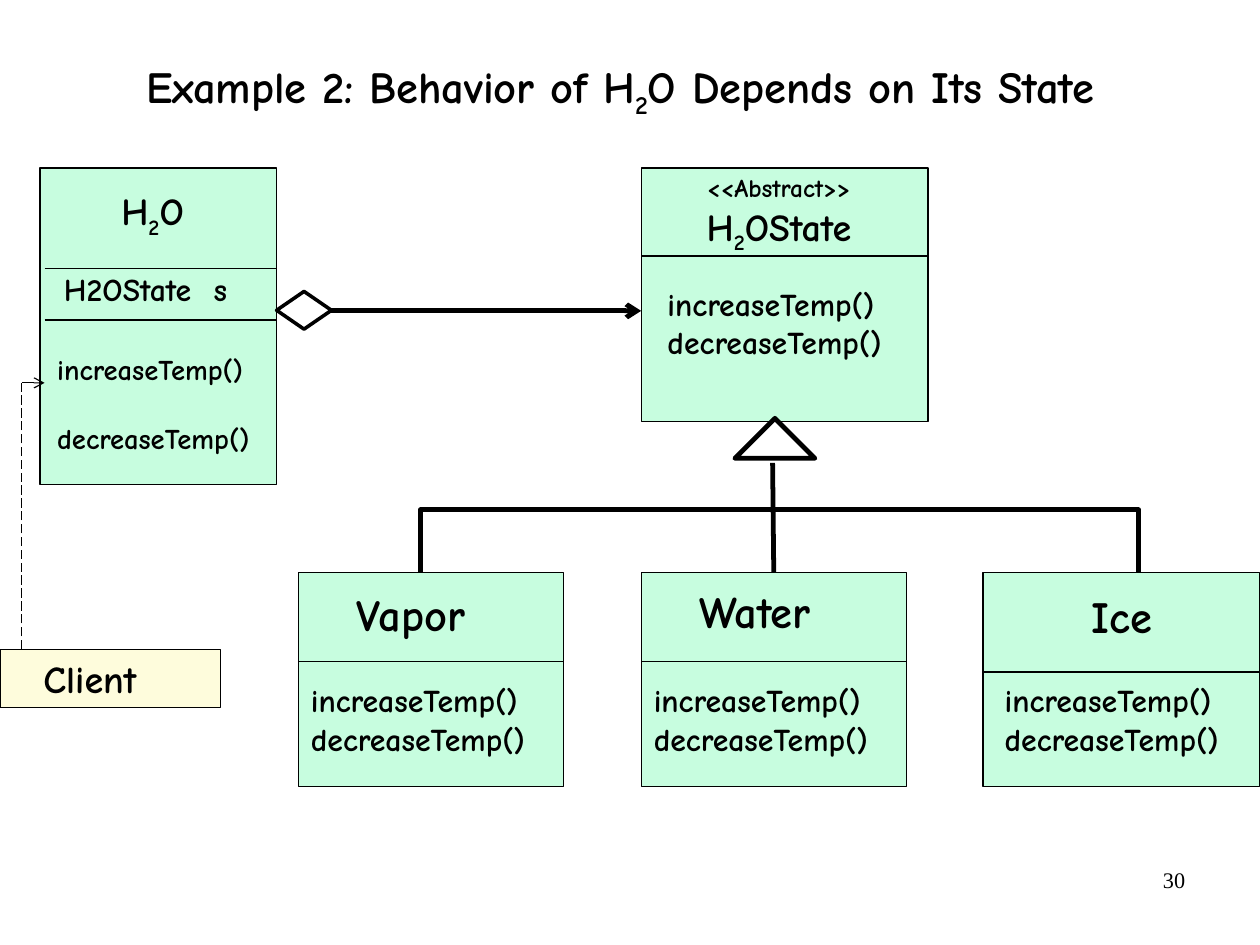
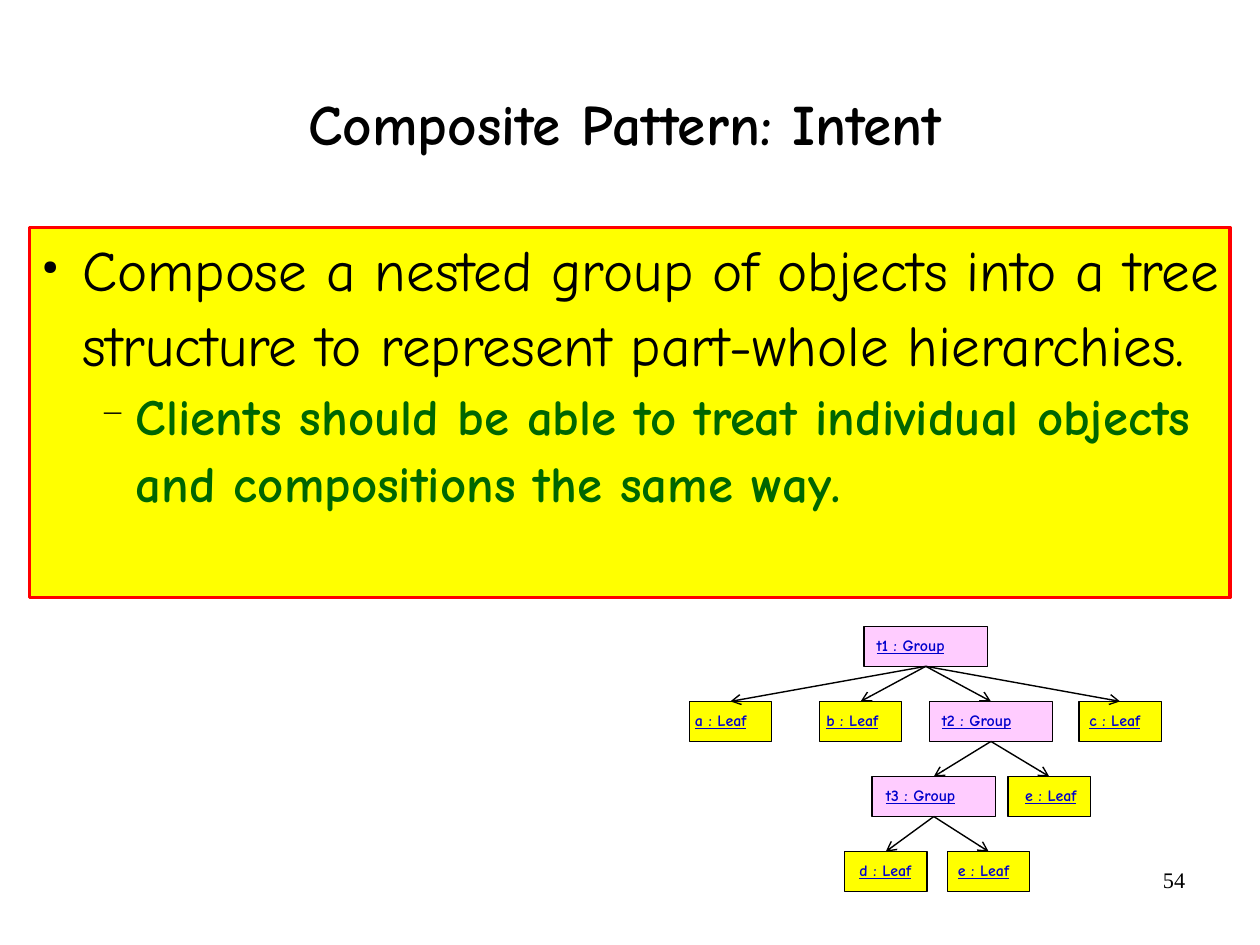
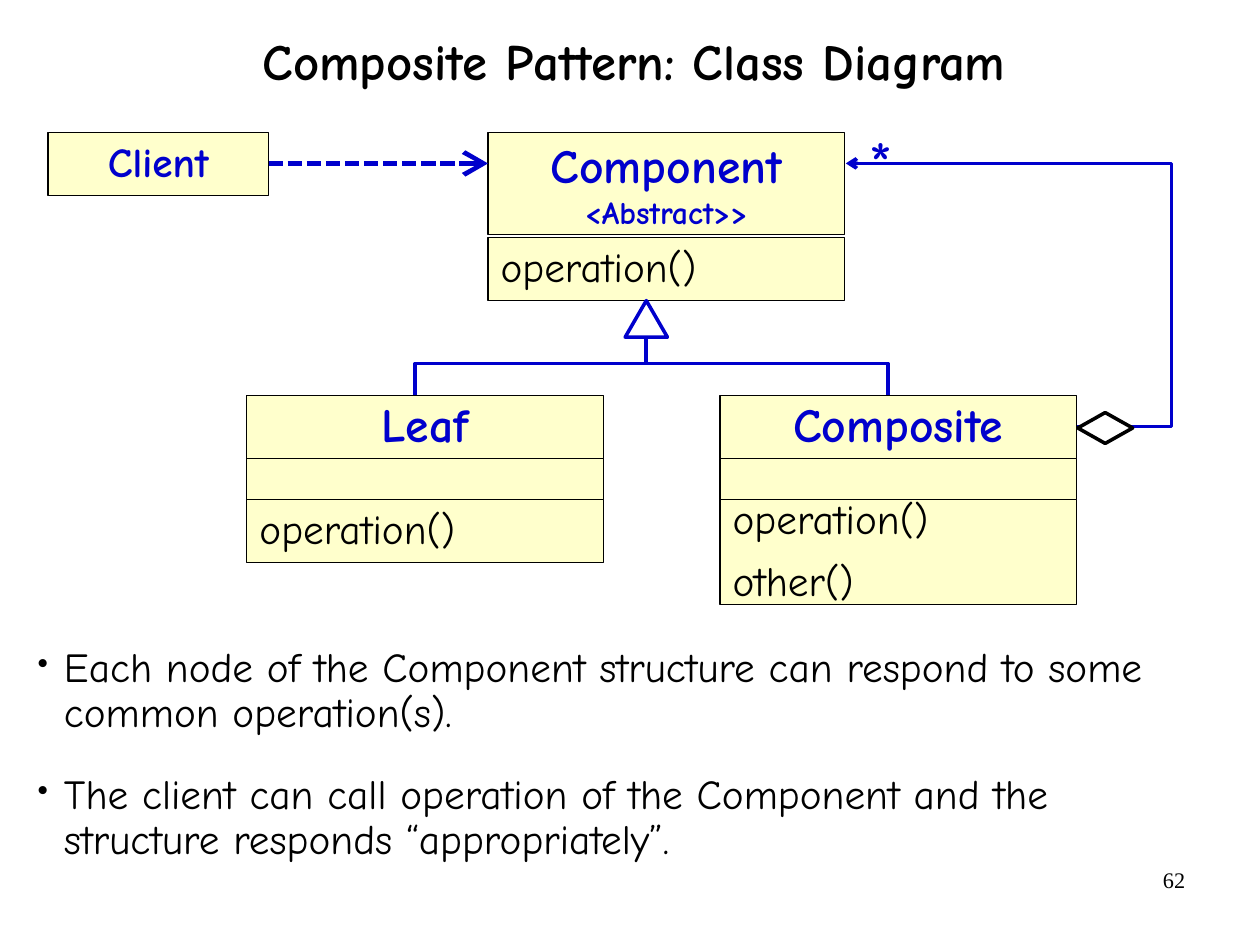
from lxml import etree
from pptx import Presentation
from pptx.dml.color import RGBColor
from pptx.enum.dml import MSO_LINE
from pptx.enum.shapes import MSO_CONNECTOR, MSO_SHAPE
from pptx.enum.text import MSO_ANCHOR, PP_ALIGN
from pptx.oxml.ns import qn
from pptx.util import Cm, Pt

RECTANGLE, DIAMOND, TRIANGLE = MSO_SHAPE.RECTANGLE, MSO_SHAPE.DIAMOND, MSO_SHAPE.ISOSCELES_TRIANGLE
LEFT, CENTER, RIGHT = PP_ALIGN.LEFT, PP_ALIGN.CENTER, PP_ALIGN.RIGHT
TOP, MIDDLE, BOTTOM = MSO_ANCHOR.TOP, MSO_ANCHOR.MIDDLE, MSO_ANCHOR.BOTTOM
LONG_DASH, SHORT_DASH = MSO_LINE.LONG_DASH, MSO_LINE.SQUARE_DOT
STRAIGHT = MSO_CONNECTOR.STRAIGHT

COLORS = {
    "ink": "000000", "white": "FFFFFF", "mint": "C7FDDF", "cream": "FEFCDC",
    "ivory": "FFFFCC", "yellow": "FFFF00", "pink": "FFCCFF", "red": "FF0000",
    "blue": "0000CC", "green": "006600",
}
PALETTE = {name: RGBColor.from_string(value) for name, value in COLORS.items()}
TEXT = {
    "name": "Comic Neue", "size": 20, "bold": True, "underline": None, "color": "ink",
    "alignment": LEFT, "line_spacing": None, "space_before": 0, "space_after": 0,
    "bullet": None, "tab": None,
}
NO_INSETS = (0, 0, 0, 0)

presentation = Presentation()
presentation.slide_width, presentation.slide_height = Cm(28), Cm(21)
COLUMN = presentation.slide_width / 110.24
ROW = presentation.slide_height / 82.68


def add_box(slide, geometry, place, paragraphs=None, fill=None, line=None, weight=0.75,
            anchor=TOP, insets=(1.1, 0.6, 1.1, 0.6), **style):
    left, top, width, height = place
    frame_place = [round(v) for v in (left * COLUMN, top * ROW, width * COLUMN, height * ROW)]
    if geometry is None:
        shape = slide.shapes.add_textbox(*frame_place)
    else:
        shape = slide.shapes.add_shape(geometry, *frame_place)
        shape.shadow.inherit = False
        if fill:
            shape.fill.solid()
            shape.fill.fore_color.rgb = PALETTE[fill]
        else:
            shape.fill.background()
        shape.line.color.rgb = PALETTE[line or "ink"]
        shape.line.width = Pt(weight)
    frame = shape.text_frame
    frame.word_wrap = True
    frame.vertical_anchor = anchor
    for side, inset in zip(("left", "top", "right", "bottom"), insets):
        setattr(frame, f"margin_{side}", round(inset * COLUMN))
    for index, (text, override) in enumerate((paragraphs or {}).items()):
        look = {**TEXT, **style, **override}
        paragraph = frame.add_paragraph() if index else frame.paragraphs[0]
        properties = paragraph._p.get_or_add_pPr()
        if look["bullet"]:
            character, percent, margin, hanging = look["bullet"]
            properties.set("marL", str(round(margin * COLUMN)))
            properties.set("indent", str(round(-hanging * COLUMN)))
            bullet_color = etree.SubElement(properties, qn("a:buClr"))
            etree.SubElement(bullet_color, qn("a:srgbClr"), val=COLORS["ink"])
            etree.SubElement(properties, qn("a:buSzPct"), val=str(percent * 1000))
            etree.SubElement(properties, qn("a:buChar"), char=character)
        if look["tab"]:
            tabs = etree.SubElement(properties, qn("a:tabLst"))
            etree.SubElement(tabs, qn("a:tab"), pos=str(round(look["tab"] * COLUMN)), algn="l")
        for attribute in ("alignment", "line_spacing"):
            setattr(paragraph, attribute, look[attribute])
        paragraph.space_before = Pt(look["space_before"] if index else 0)
        paragraph.space_after = Pt(look["space_after"])
        for position, piece in enumerate(text.split("_")):
            run = paragraph.add_run()
            run.text = piece
            for attribute in ("name", "bold", "underline"):
                setattr(run.font, attribute, look[attribute])
            run.font.size = Pt(look["size"])
            run.font.color.rgb = PALETTE[look["color"]]
            if position % 2:
                run._r.get_or_add_rPr().set("baseline", "-25000")


def add_line(slide, points, color="ink", weight=0.75, dash=None, arrow=None):
    corners = [(round(x * COLUMN), round(y * ROW)) for x, y in points]
    if len(corners) == 2:
        shape = slide.shapes.add_connector(STRAIGHT, *corners[0], *corners[1])
    else:
        builder = slide.shapes.build_freeform(*corners[0])
        builder.add_line_segments(corners[1:], close=False)
        shape = builder.convert_to_shape()
        shape.fill.background()
    shape.line.color.rgb = PALETTE[color]
    shape.line.width = Pt(weight)
    if dash:
        shape.line.dash_style = dash
    properties = shape._element.spPr
    if arrow:
        outline = properties.find(qn("a:ln"))
        etree.SubElement(outline, qn("a:tailEnd"), type="arrow", w=arrow, len=arrow)
    etree.SubElement(properties, qn("a:effectLst"))


slides = []
for title, size, place, anchor, number in (
    ("Example 2: Behavior of H_2_O Depends on Its State", 28, (0, 0, 108.5, 10), BOTTOM, "30"),
    ("Composite Pattern: Intent", 36, (5.1, 0, 99.2, 13.8), BOTTOM, "54"),
    ("Composite Pattern: Class Diagram", 32, (8.5, 0.8, 94, 9.7), MIDDLE, "62"),
):
    slide = presentation.slides.add_slide(presentation.slide_layouts[6])
    add_box(slide, None, place, {title: {}}, anchor=anchor, insets=NO_INSETS,
            size=size, alignment=CENTER, line_spacing=0.88)
    add_box(slide, None, (79, 75.3, 25.7, 5.7), {number: {}}, insets=(1, 0.5, 1, 0.5),
            name="Times New Roman", size=14, bold=False, alignment=RIGHT)
    slides.append(slide)
state_slide, intent_slide, diagram_slide = slides

OPERATIONS = {"increaseTemp()": {}, "decreaseTemp()": {}}
add_box(state_slide, RECTANGLE, (3.5, 14.7, 20.7, 27.7), fill="mint")
add_box(state_slide, RECTANGLE, (56.1, 14.7, 25.1, 22.2), fill="mint")
for left, right, row in ((3.9, 24.2, 23.5), (3.9, 24.2, 28), (56.1, 81.2, 22.4)):
    add_line(state_slide, [(left, row), (right, row)])
add_box(state_slide, None, (1.9, 15.8, 22.9, 5.1), {"H_2_O": {}}, size=24, alignment=CENTER)
add_box(state_slide, None, (4.5, 23, 19.8, 4.5), {"H2OState\ts": {}}, tab=13.1)
add_box(state_slide, None, (3.9, 30.2, 22.3, 10.1), OPERATIONS | {"decreaseTemp()": {"space_before": 21.7}},
        size=18)
add_box(state_slide, None, (59.1, 14.5, 18.1, 7.8), {"<<Abstract>>": {"size": 16}, "H_2_OState": {}},
        size=24, alignment=CENTER)
add_box(state_slide, None, (57.3, 24.3, 25.2, 7.8), OPERATIONS)

for name, left, width, divider, name_left, name_top, operations_left in (
    ("Vapor", 26.1, 23.2, 57.9, 30.1, 50.8, 26.1),
    ("Water", 56.1, 23.2, 57.9, 60.1, 50.5, 56.1),
    ("Ice", 86, 24.2, 58.8, 94.4, 50.9, 86.8),
):
    add_box(state_slide, RECTANGLE, (left, 50.1, width, 18.7), fill="mint")
    add_line(state_slide, [(left, divider), (left + width, divider)])
    add_box(state_slide, None, (name_left, name_top, 15, 5.8), {name: {}}, size=28)
    add_box(state_slide, None, (operations_left, 59, 23.4, 7.8), OPERATIONS)

add_box(state_slide, DIAMOND, (24.2, 25.5, 4.8, 3.3), fill="white", weight=2.25)
add_line(state_slide, [(29, 27.2), (56.1, 27.2)], weight=3, arrow="med")
add_line(state_slide, [(36.8, 50.1), (36.8, 44.6), (99.6, 44.6), (99.6, 50.1)], weight=3)
add_line(state_slide, [(67.7, 50.1), (67.6, 40.5)], weight=3)
add_box(state_slide, TRIANGLE, (64.3, 36.6, 7, 3.5), weight=3)
add_box(state_slide, RECTANGLE, (0, 56.8, 19.3, 5.1), {"Client": {}}, fill="cream",
        anchor=MIDDLE, insets=(3.8, 0.6, 1.1, 0.6), size=24)
add_line(state_slide, [(1.9, 56.8), (1.9, 33.5)], dash=LONG_DASH)
add_line(state_slide, [(1.9, 33.5), (3.9, 33.5)], arrow="med")

add_box(intent_slide, RECTANGLE, (2.6, 19.9, 105, 32.4), {
    "Compose a nested group of objects into a tree structure to represent part-whole hierarchies.":
        {"size": 36, "bold": False, "bullet": ("●", 35, 4.6, 3.5)},
    "Clients should be able to treat individual objects and compositions the same way.":
        {"size": 32, "color": "green", "bullet": ("−", 60, 9.3, 3.1)},
}, fill="yellow", line="red", weight=2.25, insets=NO_INSETS, line_spacing=1.1)

NODE_HEIGHT = 3.5
nodes = []
for text, level, left, inset, parent in (
    ("t1 : Group", 0, 75.6, 1.1, None),
    ("a : Leaf", 1, 60.3, 0.5, 0),
    ("b : Leaf", 1, 71.7, 0.6, 0),
    ("t2 : Group", 1, 81.3, 1.1, 0),
    ("c : Leaf", 1, 94.4, 0.9, 0),
    ("t3 : Group", 2, 76.3, 1.2, 3),
    ("e : Leaf", 2, 88.2, 1.5, 3),
    ("d : Leaf", 3, 73.9, 1.3, 5),
    ("e : Leaf", 3, 82.9, 0.9, 5),
):
    width, fill = (10.8, "pink") if "Group" in text else (7.2, "yellow")
    top = 54.8 + 6.57 * level
    add_box(intent_slide, RECTANGLE, (left, top, width, NODE_HEIGHT), {text: {}}, fill=fill,
            weight=0.88, anchor=MIDDLE, insets=(inset, 0, 0, 0), size=10, color="blue",
            underline=True, line_spacing=0.9)
    center = left + width / 2
    nodes.append((center, top + NODE_HEIGHT))
    if parent is not None:
        add_line(intent_slide, [nodes[parent], (center, top)], weight=0.88, arrow="med")

HEADING = {"size": 30, "color": "blue", "alignment": CENTER}
BODY = {"size": 26, "bold": False}
SPACED = {"line_spacing": 0.9, "space_after": 10.9}
OPERATION = {"operation()": BODY | SPACED}
for place, paragraphs in (
    ((42.7, 11.6, 31.2, 8.9), {"Component": HEADING, "<Abstract>>": HEADING | {"size": 20}}),
    ((42.7, 20.8, 31.2, 5.5), OPERATION),
    ((21.6, 34.6, 31.2, 5.5), {"Leaf": HEADING | SPACED}),
    ((21.6, 40.1, 31.2, 3.6), {}),
    ((21.6, 43.7, 31.2, 5.5), OPERATION),
    ((63, 34.6, 31.2, 5.5), {"Composite": HEADING | SPACED}),
    ((63, 40.1, 31.2, 3.6), {}),
    ((63, 43.7, 31.2, 9.2), OPERATION | {"other()": BODY | SPACED}),
    ((4.2, 11.6, 19.3, 5.5), {"Client": HEADING | SPACED | {"size": 26}}),
):
    add_box(diagram_slide, RECTANGLE, place, paragraphs, fill="ivory", anchor=MIDDLE)

for points, style in (
    ([(94.2, 37.3), (102.5, 37.3), (102.5, 14.3), (74, 14.3)], {"arrow": "med"}),
    ([(36.3, 34.6), (36.3, 31.8), (77.7, 31.8), (77.7, 34.6)], {}),
    ([(56.5, 31.8), (56.5, 27.2)], {}),
    ([(23.5, 14.3), (42.7, 14.3)], {"weight": 3, "dash": SHORT_DASH, "arrow": "lg"}),
):
    add_line(diagram_slide, points, **{"color": "blue", "weight": 2.25, **style})
add_box(diagram_slide, TRIANGLE, (54.7, 26.3, 3.7, 3.2), fill="white", line="blue", weight=2.25)
add_box(diagram_slide, DIAMOND, (94.3, 36.1, 4.8, 2.7), fill="white", weight=2.25)
add_box(diagram_slide, None, (74.9, 11, 5.5, 7.2), {"*": SPACED}, size=40, bold=False, color="blue")
add_box(diagram_slide, None, (2.2, 56, 105, 20.4), {
    "Each node of the Component structure can respond to some common operation(s).": {},
    "The client can call operation of the Component and the structure responds “appropriately”.": {},
}, bullet=("•", 75, 2.3, 2.3), space_before=13, **BODY, **SPACED)

presentation.save("out.pptx")
